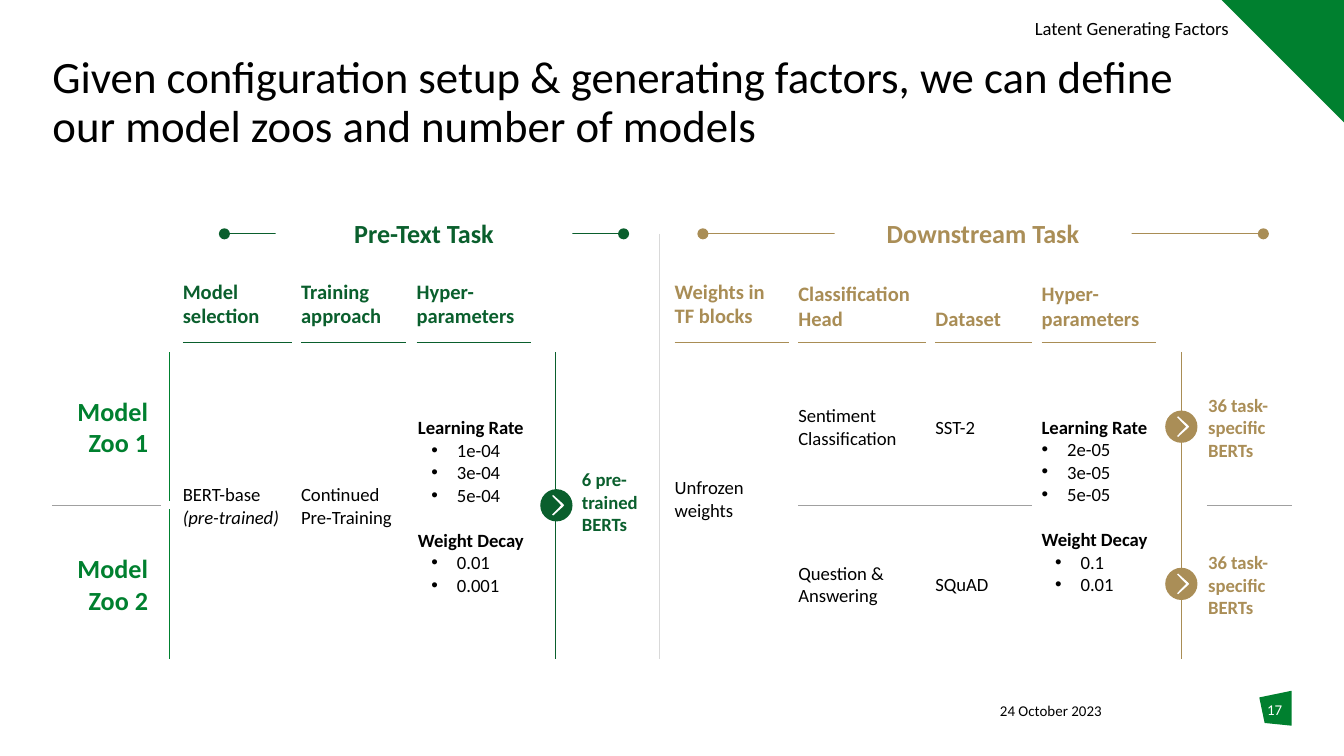
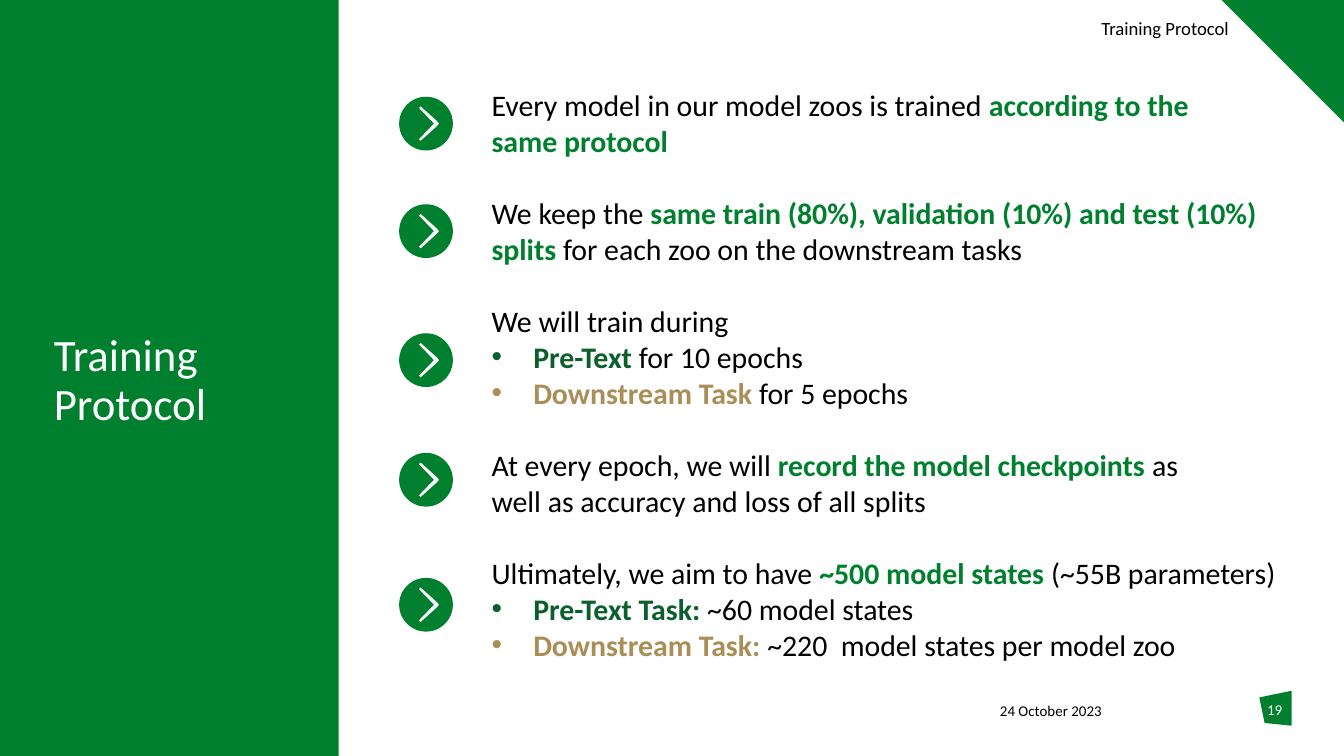
from dataclasses import dataclass

from lxml import etree
from pptx import Presentation
from pptx.dml.color import RGBColor
from pptx.enum.shapes import MSO_CONNECTOR, MSO_SHAPE
from pptx.enum.text import MSO_ANCHOR, PP_ALIGN
from pptx.oxml.ns import qn
from pptx.util import Inches, Pt

STRAIGHT = MSO_CONNECTOR.STRAIGHT
RECTANGLE, OVAL = MSO_SHAPE.RECTANGLE, MSO_SHAPE.OVAL
PENTAGON, RIGHT_TRIANGLE = MSO_SHAPE.PENTAGON, MSO_SHAPE.RIGHT_TRIANGLE
TOP, MIDDLE, BOTTOM = MSO_ANCHOR.TOP, MSO_ANCHOR.MIDDLE, MSO_ANCHOR.BOTTOM
LEFT, CENTER, RIGHT = PP_ALIGN.LEFT, PP_ALIGN.CENTER, PP_ALIGN.RIGHT

FONT = "Calibri"
BULLET_FONT = "Arial"
BLACK = RGBColor(0x00, 0x00, 0x00)
WHITE = RGBColor(0xFF, 0xFF, 0xFF)
GREEN = RGBColor(0x00, 0x80, 0x2F)
DARK_GREEN = RGBColor(0x0A, 0x5F, 0x2D)
GOLD = RGBColor(0xA9, 0x8D, 0x55)
WARM_GOLD = RGBColor(0xAA, 0x8E, 0x57)
GRAY = RGBColor(0xA0, 0xA0, 0xA0)
LIGHT_GRAY = RGBColor(0xD9, 0xD9, 0xD9)

SLIDE_WIDTH = 10
SLIDE_HEIGHT = SLIDE_WIDTH * 9 / 16

NO_INSETS = (0, 0, 0, 0)
THIN_INSETS = (0.01, 0.01, 0.01, 0)
BOX_INSETS = (0.1, 0.05, 0.1, 0.05)

BODY_TOP, BODY_HEIGHT = 2.62, 2.28
BODY_BOTTOM = BODY_TOP + BODY_HEIGHT
ROW_HEIGHT = 1.11
ROW_TOPS = (BODY_TOP, BODY_BOTTOM - ROW_HEIGHT)
ROW_MIDDLE = 3.76
HEADER_LINE_TOP = 2.55
TASK_LINE_TOP = 1.74

CHEVRON = ((-0.1, -0.32), (-0.13, -0.29), (0.15, 0), (-0.13, 0.29),
           (-0.1, 0.32), (0.2, 0.05), (0.24, 0), (0.2, -0.05))
PAGE_BADGE = ((9.37, 5.19), (9.61, 5.14), (9.61, 5.4), (9.41, 5.38))


@dataclass
class Line:
    runs: tuple
    bold: bool = False
    indent: float = 0
    gap: float = 0


def paint(shape, color):
    shape.shadow.inherit = False
    shape.fill.solid()
    shape.fill.fore_color.rgb = color
    shape.line.fill.background()


def add_shape(slide, kind, box, color):
    shape = slide.shapes.add_shape(kind, *map(Inches, box))
    paint(shape, color)
    return shape


def add_polygon(slide, points, color):
    corners = [(Inches(x), Inches(y)) for x, y in points]
    builder = slide.shapes.build_freeform(*corners[0])
    builder.add_line_segments(corners[1:], close=True)
    paint(builder.convert_to_shape(), color)


def add_line(slide, start, end, color, dots=False):
    connector = slide.shapes.add_connector(STRAIGHT, *map(Inches, start + end))
    connector.line.color.rgb = color
    connector.line.width = Pt(0.5)
    properties = connector._element.spPr
    if dots:
        outline = properties.find(qn("a:ln"))
        for end_name in ("a:headEnd", "a:tailEnd"):
            etree.SubElement(outline, qn(end_name), type="oval")
    etree.SubElement(properties, qn("a:effectLst"))


def add_bullet(paragraph, indent, hanging, color):
    properties = paragraph._p.get_or_add_pPr()
    properties.set("marL", str(Inches(indent)))
    properties.set("indent", str(-Inches(hanging)))
    bullet_color = etree.SubElement(properties, qn("a:buClr"))
    etree.SubElement(bullet_color, qn("a:srgbClr"), val=str(color))
    etree.SubElement(properties, qn("a:buFont"), typeface=BULLET_FONT)
    etree.SubElement(properties, qn("a:buChar"), char="•")


def add_text(slide, box, content, size, color=BLACK, bold=False, align=LEFT,
             anchor=TOP, insets=NO_INSETS, fill=None, spacing=None, hanging=0.19):
    if fill is None:
        shape = slide.shapes.add_textbox(*map(Inches, box))
    else:
        shape = add_shape(slide, RECTANGLE, box, fill)
    frame = shape.text_frame
    frame.word_wrap = True
    frame.vertical_anchor = anchor
    (frame.margin_left, frame.margin_top,
     frame.margin_right, frame.margin_bottom) = map(Inches, insets)
    lines = [Line((content,), bold)] if isinstance(content, str) else content
    for index, line in enumerate(lines):
        paragraph = frame.add_paragraph() if index else frame.paragraphs[0]
        paragraph.alignment = align
        if spacing:
            paragraph.line_spacing = spacing
        if line.gap:
            paragraph.space_before = Pt(line.gap)
        if line.indent:
            first = line.runs[0]
            bullet_color = color if isinstance(first, str) else first[1]
            add_bullet(paragraph, line.indent, hanging, bullet_color)
        paragraph.font.name = FONT
        paragraph.font.size = Pt(size)
        paragraph.font.bold = line.bold
        paragraph.font.color.rgb = color
        if len(line.runs) == 1 and isinstance(line.runs[0], str):
            paragraph.text = line.runs[0]
            continue
        for part in line.runs:
            run = paragraph.add_run()
            if isinstance(part, str):
                run.text = part
            else:
                run.text, run.font.color.rgb = part
                run.font.bold = True
    return shape


def add_title(slide, box, text, color):
    add_text(slide, box, text, 24, color, spacing=0.9)


def add_footer(slide, number):
    add_polygon(slide, PAGE_BADGE, GREEN)
    add_text(slide, (7.44, 5.22, 1.29, 0.2), "24 October 2023", 8)
    add_text(slide, (9.37, 5.21, 0.23, 0.3), number, 8, WHITE, align=CENTER)


def add_section_corner(slide, label, width):
    triangle = add_shape(slide, RIGHT_TRIANGLE, (9.09, 0, 0.91, 0.91), GREEN)
    triangle.rotation = 180
    add_text(slide, (9.24 - width, 0.11, width, 0.2), label, 10,
             align=RIGHT, anchor=MIDDLE, insets=BOX_INSETS)


def add_chevron_button(slide, center_x, center_y, diameter, color):
    radius = diameter / 2
    add_shape(slide, OVAL, (center_x - radius, center_y - radius, diameter, diameter), color)
    add_polygon(slide, [(center_x + x * diameter, center_y + y * diameter)
                        for x, y in CHEVRON], WHITE)


def add_task_heading(slide, start, end, label_left, label, line_color, text_color):
    add_line(slide, (start, TASK_LINE_TOP), (end, TASK_LINE_TOP), line_color, dots=True)
    add_text(slide, (label_left, 1.62, 2.21, 0.23), label, 14, text_color, True,
             CENTER, MIDDLE, fill=WHITE)


def add_column_header(slide, left, width, label, color, top=2.1):
    add_text(slide, (left, top, width, 0.34), label, 11, color, True, anchor=BOTTOM)
    add_line(slide, (left, HEADER_LINE_TOP), (left + width, HEADER_LINE_TOP), color)


def add_cell(slide, left, width, content, top=BODY_TOP, height=BODY_HEIGHT,
             insets=NO_INSETS):
    return add_text(slide, (left, top, width, height), content, 10,
                    anchor=MIDDLE, insets=insets, fill=WHITE)


def add_result(slide, top, height, left, label, color, fill=None):
    add_text(slide, (left, top, 0.63, height), label, 10, color, True,
             anchor=MIDDLE, insets=THIN_INSETS, fill=fill)


def hyperparameters(rates, decays, rate_indent):
    return [Line(("Learning Rate",), True),
            *(Line((rate,), indent=rate_indent) for rate in rates),
            Line(("Weight Decay",), True, gap=12.2),
            *(Line((decay,), indent=0.29) for decay in decays)]


def add_pretext_task(slide):
    for left, width, label in ((1.36, 0.81, "Model \vselection"),
                               (2.24, 0.78, "Training \vapproach"),
                               (3.1, 0.85, "Hyper-parameters")):
        add_column_header(slide, left, width, label, DARK_GREEN)
    model_cell = add_cell(slide, 1.36, 0.81, "BERT-base \v(pre-trained)")
    model_cell.text_frame.paragraphs[0].runs[1].font.italic = True
    add_cell(slide, 2.24, 0.78, "Continued Pre-Training")
    add_cell(slide, 3.1, 0.85, hyperparameters(
        ("1e-04", "3e-04", "5e-04"), ("0.01", "0.001"), 0.29), insets=THIN_INSETS)
    add_task_heading(slide, 1.67, 4.64, 2.05, "Pre-Text Task", DARK_GREEN, DARK_GREEN)
    add_result(slide, 2.59, BODY_HEIGHT, 4.32, "6 pre-trained BERTs", DARK_GREEN)
    add_line(slide, (4.13, BODY_TOP), (4.13, BODY_BOTTOM), DARK_GREEN)
    add_chevron_button(slide, 4.14, ROW_MIDDLE, 0.24, DARK_GREEN)


def add_downstream_task(slide):
    add_column_header(slide, 5.02, 0.85, "Weights in \vTF blocks", GOLD)
    for left, width, label in ((5.94, 0.95, "Classification \vHead"),
                               (6.96, 0.72, "Dataset"),
                               (7.75, 0.85, "Hyper-parameters")):
        add_column_header(slide, left, width, label, GOLD, 2.12)
    add_cell(slide, 5.02, 0.85, "Unfrozen weights", 2.59, 2.24)
    add_cell(slide, 7.75, 0.85, hyperparameters(
        ("2e-05", "3e-05", "5e-05"), ("0.1", "0.01"), 0.19))
    add_line(slide, (8.79, BODY_TOP), (8.79, BODY_BOTTOM), GOLD)
    rows = (("Sentiment Classification", "SST-2"), ("Question & Answering", "SQuAD"))
    for top, (head, dataset) in zip(ROW_TOPS, rows):
        add_cell(slide, 5.94, 0.94, head, top, ROW_HEIGHT)
        add_cell(slide, 6.96, 0.72, dataset, top, ROW_HEIGHT)
        add_result(slide, top, ROW_HEIGHT, 8.98, "36 task-specific BERTs", WARM_GOLD, WHITE)
        add_chevron_button(slide, 8.79, top + ROW_HEIGHT / 2, 0.24, WARM_GOLD)
    add_task_heading(slide, 5.23, 9.4, 6.21, "Downstream Task", GOLD, WARM_GOLD)


def add_model_zoo_labels(slide):
    for number, top in enumerate(ROW_TOPS, 1):
        add_text(slide, (0.39, top, 0.81, ROW_HEIGHT), f"Model Zoo {number}", 14, GREEN,
                 True, RIGHT, MIDDLE, BOX_INSETS)
        add_line(slide, (1.26, top), (1.26, top + ROW_HEIGHT), GREEN)


def build_model_zoo_slide(slide):
    add_footer(slide, "17")
    add_title(slide, (0.39, 0.41, 9.22, 0.67),
              "Given configuration setup & generating factors, we can define "
              "\vour model zoos and number of models", BLACK)
    add_pretext_task(slide)
    add_downstream_task(slide)
    add_model_zoo_labels(slide)
    for start, end in ((0.39, 1.2), (5.94, 7.68), (8.98, 9.61)):
        add_line(slide, (start, ROW_MIDDLE), (end, ROW_MIDDLE), GRAY)
    add_line(slide, (4.91, TASK_LINE_TOP), (4.91, BODY_BOTTOM), LIGHT_GRAY)
    add_section_corner(slide, "Latent Generating Factors", 2.21)


def build_protocol_slide(slide):
    add_footer(slide, "19")
    panel = add_shape(slide, PENTAGON, (0, 0, 2.52, SLIDE_HEIGHT), GREEN)
    panel.adjustments[0] = 0
    add_title(slide, (0.4, 2.48, 1.72, 0.67), "Training \vProtocol", WHITE)
    gap, indent = 19.5, 0.31
    protocol = [
        Line(("Every model in our model zoos is trained ", ("according to the", GREEN))),
        Line((("same protocol", GREEN),)),
        Line(("We keep the ",
              ("same train (80%), validation (10%) and test (10%) splits ", GREEN),
              "for each zoo on the downstream tasks"), gap=gap),
        Line(("We will train during",), gap=gap),
        Line((("Pre-Text ", DARK_GREEN), "for 10 epochs"), indent=indent),
        Line((("Downstream Task ", WARM_GOLD), "for 5 epochs"), indent=indent),
        Line(("At every epoch, we will ", ("record the model checkpoints ", GREEN), "as"),
             gap=gap),
        Line(("well as accuracy and loss of all splits",)),
        Line(("Ultimately, we aim to have ", ("~500 model states ", GREEN),
              "(~55B parameters)"), gap=gap),
        Line((("Pre-Text Task:", DARK_GREEN), " ~60 model states"), indent=indent),
        Line((("Downstream Task: ", WARM_GOLD), "~220  model states per model zoo"),
             indent=indent),
    ]
    add_text(slide, (3.56, 0.58, 6.36, 4.41), protocol, 16, anchor=MIDDLE,
             insets=BOX_INSETS, hanging=indent)
    for center_y in (0.92, 1.72, 2.68, 3.57, 4.5):
        add_chevron_button(slide, 3.17, center_y, 0.4, GREEN)
    add_section_corner(slide, "Training Protocol", 1.37)


def main():
    presentation = Presentation()
    presentation.slide_width = Inches(SLIDE_WIDTH)
    presentation.slide_height = Inches(SLIDE_HEIGHT)
    blank = presentation.slide_layouts[6]
    for build in (build_model_zoo_slide, build_protocol_slide):
        build(presentation.slides.add_slide(blank))
    presentation.save("out.pptx")


if __name__ == "__main__":
    main()
